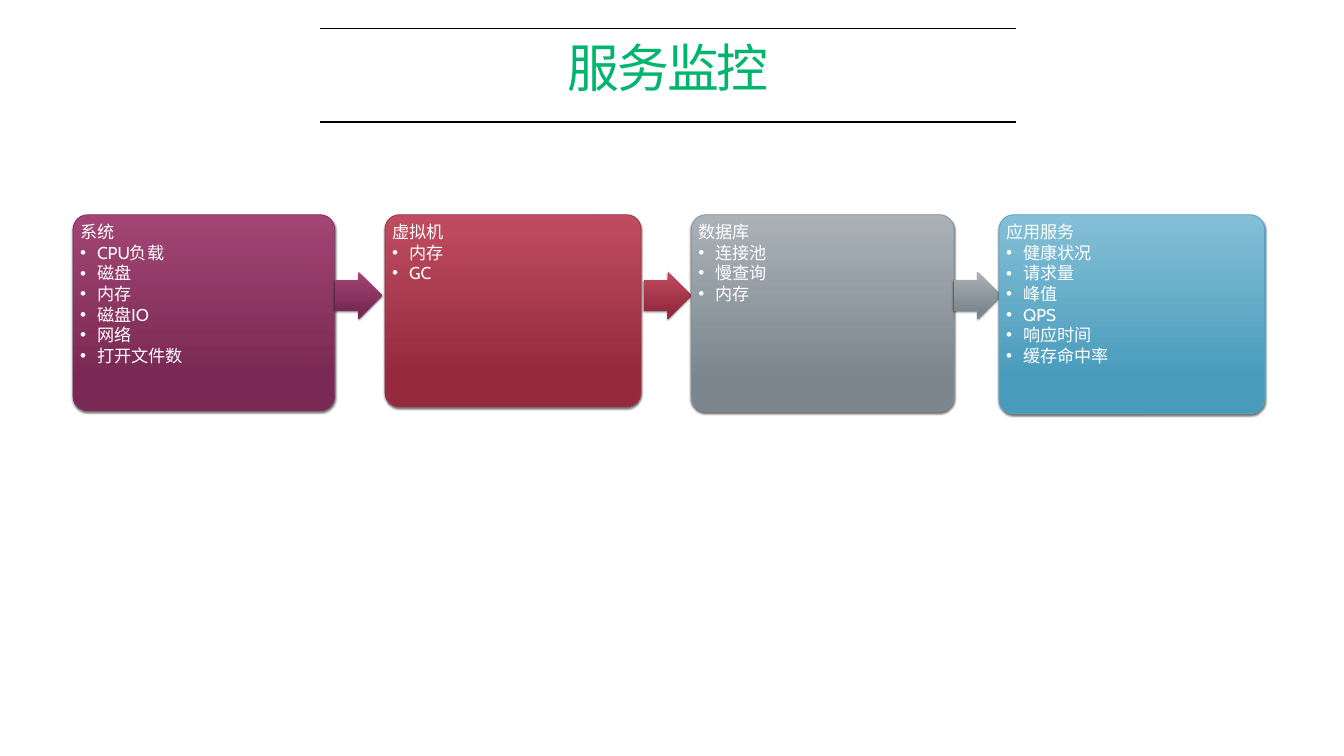
from dataclasses import dataclass

from lxml.etree import SubElement
from pptx import Presentation
from pptx.dml.color import RGBColor
from pptx.enum.shapes import MSO_CONNECTOR, MSO_SHAPE
from pptx.enum.text import MSO_ANCHOR, MSO_AUTO_SIZE, PP_ALIGN
from pptx.oxml.ns import qn
from pptx.util import Pt


@dataclass(frozen=True)
class Theme:
    title_font: str = "Open Sans"
    body_font: str = "Cabin"
    title_size: float = 74
    body_size: float = 24.5
    title_color: str = "00B56E"
    text_color: str = "FFFFFF"
    rule_color: str = "000000"
    # Each stage: gradient top, gradient bottom, outline
    plum: tuple = ("A24574", "792953", "822C59")
    red: tuple = ("C04C60", "952A3F", "A02D43")
    gray: tuple = ("AAB2B8", "7B868E", "858F99")
    blue: tuple = ("84BFD7", "489BBB", "4FA5C7")


THEME = Theme()
CARD_TOP = 306.7
CARD_PADDING = 6.4
TEXT_INSET = 3.6
BULLET_INDENT = 24.5
ARROW_LEFT, ARROW_PITCH = 478.1, 442.05
ARROW_TOP, ARROW_SIZE = 388.1, 67.7

# Heading, items, colors, card left, width, height, text height
STAGES = [
    ("系统", ["CPU负载", "磁盘", "内存", "磁盘IO", "网络", "打开文件数"],
     THEME.plum, 104.4, 373.7, 280, 561),
    ("虚拟机", ["内存", "GC"], THEME.red, 550, 365.8, 274.3, 235.4),
    ("数据库", ["连接池", "慢查询", "内存"], THEME.gray, 987.6, 375.1, 280.8, 329),
    ("应用服务", ["健康状况", "请求量", "峰值", "QPS", "响应时间", "缓存命中率"],
     THEME.blue, 1427.2, 379.4, 284.4, 561),
]


def style_font(paragraph, name, size, color):
    font = paragraph.font
    font.size = Pt(size)
    font.color.rgb = RGBColor.from_string(color)
    font.name = name
    # East Asian text uses the same typeface
    defaults = paragraph._p.pPr.find(qn("a:defRPr"))
    SubElement(defaults, qn("a:ea"), typeface=name)
    return defaults


def add_rule(slide, y):
    rule = slide.shapes.add_connector(
        MSO_CONNECTOR.STRAIGHT, Pt(457.2), Pt(y), Pt(1451.5), Pt(y))
    rule.line.color.rgb = RGBColor.from_string(THEME.rule_color)
    rule.line.width = Pt(2)
    SubElement(rule._element.spPr, qn("a:effectLst"))


def set_title(slide, text):
    title = slide.shapes.title
    title.left, title.top, title.width, title.height = map(
        Pt, (85.7, 52.6, 1738, 108))
    frame = title.text_frame
    frame.auto_size = MSO_AUTO_SIZE.NONE
    frame.vertical_anchor = MSO_ANCHOR.MIDDLE
    frame.margin_left = frame.margin_right = 0
    frame.margin_top = frame.margin_bottom = 0
    frame.text = text
    paragraph = frame.paragraphs[0]
    paragraph.alignment = PP_ALIGN.CENTER
    paragraph.line_spacing = 0.7
    defaults = style_font(
        paragraph, THEME.title_font, THEME.title_size, THEME.title_color)
    defaults.set("spc", "-300")


def add_gradient_shape(shapes, kind, box, colors, adjustments):
    """Add a preset shape with a vertical gradient and a soft shadow."""
    shape = shapes.add_shape(kind, *map(Pt, box))
    for index, value in enumerate(adjustments):
        shape.adjustments[index] = value
    shape.fill.gradient()
    shape.fill.gradient_angle = 270
    for stop, position, color in zip(
            shape.fill.gradient_stops, (0, 0.84), colors):
        stop.position = position
        stop.color.rgb = RGBColor.from_string(color)
    shape.line.fill.background()
    shape.shadow.inherit = False
    effects = shape._element.spPr.find(qn("a:effectLst"))
    shadow = SubElement(
        effects, qn("a:outerShdw"), blurRad=str(Pt(3)), dist=str(Pt(2)),
        dir="5400000", algn="ctr", rotWithShape="0")
    shadow_color = SubElement(shadow, qn("a:srgbClr"), val="000000")
    SubElement(shadow_color, qn("a:alpha"), val="55000")
    return shape


def add_bullet(paragraph):
    properties = paragraph._p.get_or_add_pPr()
    properties.set("marL", str(Pt(BULLET_INDENT)))
    properties.set("indent", str(-Pt(BULLET_INDENT)))
    SubElement(properties, qn("a:buFont"), typeface="Arial")
    SubElement(properties, qn("a:buChar"), char="•")


def add_card(slide, heading, items, colors, left, width, height, text_height):
    shapes = slide.shapes.add_group_shape().shapes
    card = add_gradient_shape(
        shapes, MSO_SHAPE.ROUNDED_RECTANGLE,
        (left, CARD_TOP, width, height), colors, [0.075])
    card.line.color.rgb = RGBColor.from_string(colors[2])
    card.line.width = Pt(1)

    # Heading and bulleted list
    content = shapes.add_textbox(
        Pt(left + CARD_PADDING), Pt(CARD_TOP + CARD_PADDING),
        Pt(width - 2 * CARD_PADDING), Pt(text_height))
    frame = content.text_frame
    frame.word_wrap = True
    frame.margin_left = frame.margin_right = Pt(TEXT_INSET)
    frame.margin_top = frame.margin_bottom = Pt(TEXT_INSET)
    frame.text = "\n".join([heading, *items])
    for index, paragraph in enumerate(frame.paragraphs):
        if index:
            add_bullet(paragraph)
        style_font(
            paragraph, THEME.body_font, THEME.body_size, THEME.text_color)


def add_arrow(slide, index, colors):
    left = ARROW_LEFT + index * ARROW_PITCH
    add_gradient_shape(
        slide.shapes, MSO_SHAPE.RIGHT_ARROW,
        (left, ARROW_TOP, ARROW_SIZE, ARROW_SIZE), colors, [0.64, 0.5])


def main():
    deck = Presentation()
    deck.slide_width, deck.slide_height = Pt(1920), Pt(1080)
    slide = deck.slides.add_slide(deck.slide_layouts[5])

    # Title between two rules
    for y in (174.2, 41):
        add_rule(slide, y)
    set_title(slide, "服务监控")

    # Monitoring stages joined by arrows
    for index, stage in enumerate(STAGES):
        add_card(slide, *stage)
        if index < len(STAGES) - 1:
            add_arrow(slide, index, stage[2])

    deck.save("out.pptx")


if __name__ == "__main__":
    main()
